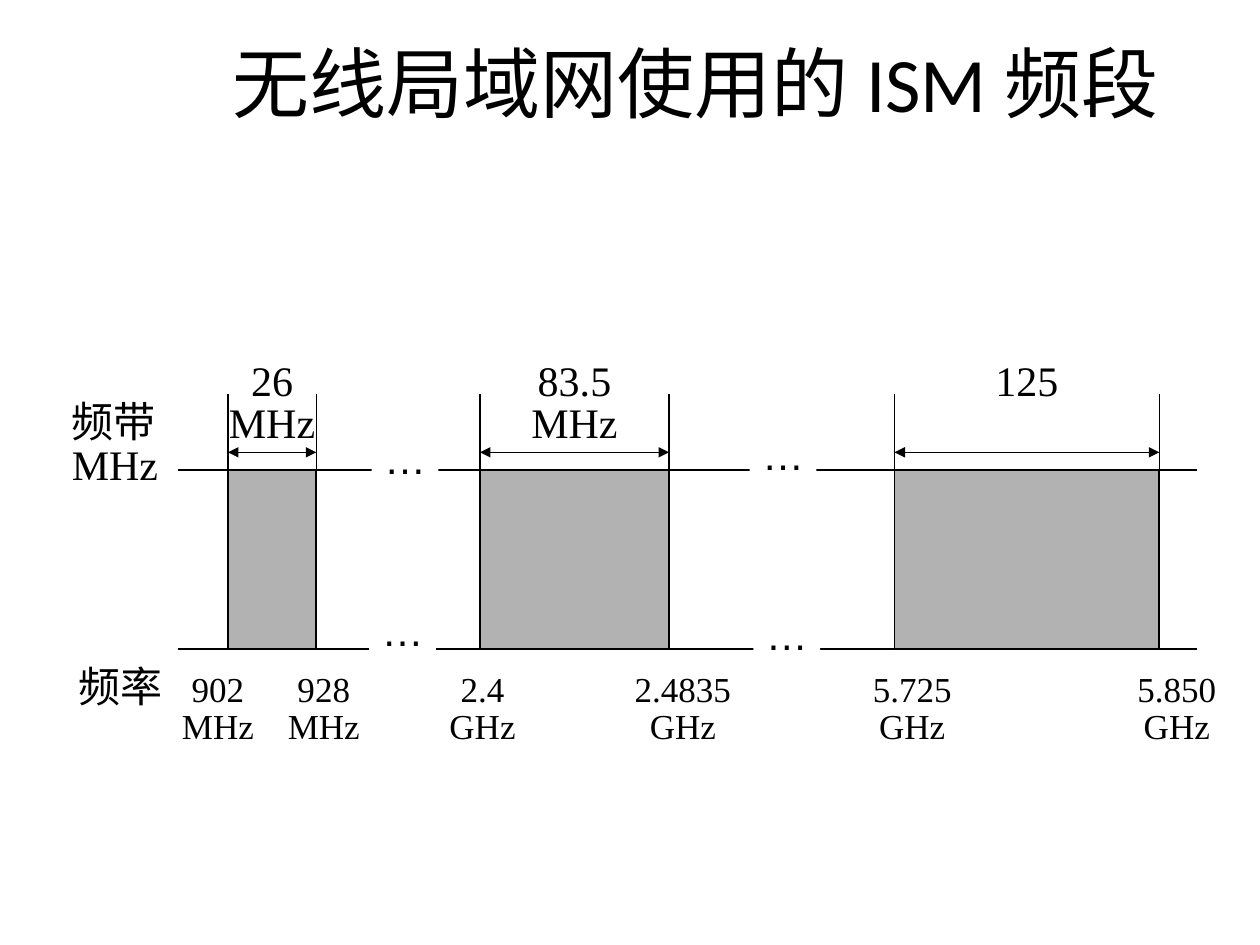
from dataclasses import dataclass

import pptx
import pptx.dml.color
import pptx.enum.shapes
import pptx.enum.text
import pptx.oxml.ns
import pptx.util
from lxml import etree
from pptx.util import Inches

ALIGN = pptx.enum.text.PP_ALIGN
ANCHOR = pptx.enum.text.MSO_ANCHOR


@dataclass(frozen=True)
class Theme:
    ink: str = "000000"
    paper: str = "FFFFFF"
    band: str = "B2B2B2"
    title_font: str = "Calibri"
    label_font: str = "Times New Roman"
    gap_font: str = "Arial"
    title_size: float = 44
    label_size: float = 24
    frequency_size: float = 20
    label_pitch: float = 24.5
    frequency_pitch: float = 21
    line_width: float = 0.75


THEME = Theme()


def color(value):
    return pptx.dml.color.RGBColor.from_string(value)


def write(frame, text, font, size, align=ALIGN.LEFT, pitch=None, inset=0):
    frame.text = text
    frame.vertical_anchor = ANCHOR.TOP
    frame.margin_left = frame.margin_right = Inches(inset)
    frame.margin_top = frame.margin_bottom = Inches(inset / 2)
    for paragraph in frame.paragraphs:
        paragraph.alignment = align
        if pitch:
            paragraph.line_spacing = pptx.util.Pt(pitch)
        for run in paragraph.runs:
            run.font.name = font
            run.font.size = pptx.util.Pt(size)
            run.font.color.rgb = color(THEME.ink)


def add_label(slide, left, top, width, text, size, pitch, align=ALIGN.CENTER):
    height = pitch * len(text.split("\n")) / 72
    label = slide.shapes.add_textbox(
        Inches(left), Inches(top), Inches(width), Inches(height))
    label.text_frame.word_wrap = False
    write(label.text_frame, text, THEME.label_font, size, align, pitch)


def add_line(slide, x1, y1, x2, y2, arrows=False):
    line = slide.shapes.add_connector(
        pptx.enum.shapes.MSO_CONNECTOR.STRAIGHT,
        Inches(x1), Inches(y1), Inches(x2), Inches(y2))
    line.line.color.rgb = color(THEME.ink)
    line.line.width = pptx.util.Pt(THEME.line_width)
    if arrows:
        outline = line.line._get_or_add_ln()
        for end in ("a:headEnd", "a:tailEnd"):
            etree.SubElement(outline, pptx.oxml.ns.qn(end), type="triangle")
    etree.SubElement(line._element.spPr, pptx.oxml.ns.qn("a:effectLst"))


def add_rectangle(slide, left, top, width, height, fill):
    rectangle = slide.shapes.add_shape(
        pptx.enum.shapes.MSO_SHAPE.RECTANGLE,
        Inches(left), Inches(top), Inches(width), Inches(height))
    rectangle.shadow.inherit = False
    rectangle.fill.solid()
    rectangle.fill.fore_color.rgb = color(fill)
    return rectangle


def place_title(slide, left, top, width, height):
    title = slide.shapes.title
    title.left, title.top = Inches(left), Inches(top)
    title.width, title.height = Inches(width), Inches(height)
    write(title.text_frame, "无线局域网使用的 ISM 频段", THEME.title_font,
          THEME.title_size, ALIGN.CENTER, inset=0.1)


def draw_band(slide, left, top, width, height, bandwidth):
    right = left + width
    band = add_rectangle(slide, left, top, width, height, THEME.band)
    band.line.color.rgb = color(THEME.ink)
    band.line.width = pptx.util.Pt(THEME.line_width)
    add_line(slide, left, top - 0.14, right, top - 0.14, arrows=True)
    for edge in (left, right):
        add_line(slide, edge, top + 0.31, edge, top - 0.6)
    add_label(slide, left, top - 0.86, width, bandwidth,
              THEME.label_size, THEME.label_pitch)


def draw_gap(slide, left, top, width, height):
    gap = add_rectangle(slide, left, top, width, height, THEME.paper)
    gap.line.fill.background()
    gap.text_frame.word_wrap = False
    write(gap.text_frame, "…", THEME.gap_font, THEME.label_size, inset=0.1)


def draw_spectrum(slide, left, top, width, height):
    bottom = top + height
    for axis in (top, bottom):
        add_line(slide, left, axis, left + width, axis)

    bands = [(0.4, 0.7, "26\nMHz"), (2.4, 1.5, "83.5\nMHz"), (5.69, 2.1, "125")]
    for offset, band_width, bandwidth in bands:
        draw_band(slide, left + offset, top, band_width, height, bandwidth)

    gaps = [(1.54, -0.35), (1.52, 1.02), (4.54, -0.38), (4.57, 1.05)]
    for x, y in gaps:
        draw_gap(slide, left + x, top + y, 0.53, 0.5)

    frequencies = [(0.32, "902\nMHz"), (1.16, "928\nMHz"), (2.42, "2.4\nGHz"),
                   (4.01, "2.4835\nGHz"), (5.83, "5.725\nGHz"),
                   (7.93, "5.850\nGHz")]
    label_width = 0.8
    for center, frequency in frequencies:
        add_label(slide, left + center - label_width / 2, bottom + 0.19,
                  label_width, frequency, THEME.frequency_size,
                  THEME.frequency_pitch)


def place_row_names(slide, left, top, width, height):
    for x, y, name in [(0, 0, "频带\nMHz"), (0.05, height, "频率")]:
        add_label(slide, left + x, top + y, width, name, THEME.label_size,
                  THEME.label_pitch, ALIGN.LEFT)


def main():
    presentation = pptx.Presentation()
    presentation.slide_width = Inches(10)
    presentation.slide_height = Inches(7.5)
    slide = presentation.slides.add_slide(presentation.slide_layouts[5])
    place_title(slide, 1.26, 0.23, 8.52, 1.6)
    draw_spectrum(slide, 1.41, 3.73, 8.09, 1.42)
    place_row_names(slide, 0.57, 3.2, 0.75, 2.1)
    presentation.save("out.pptx")


if __name__ == "__main__":
    main()
